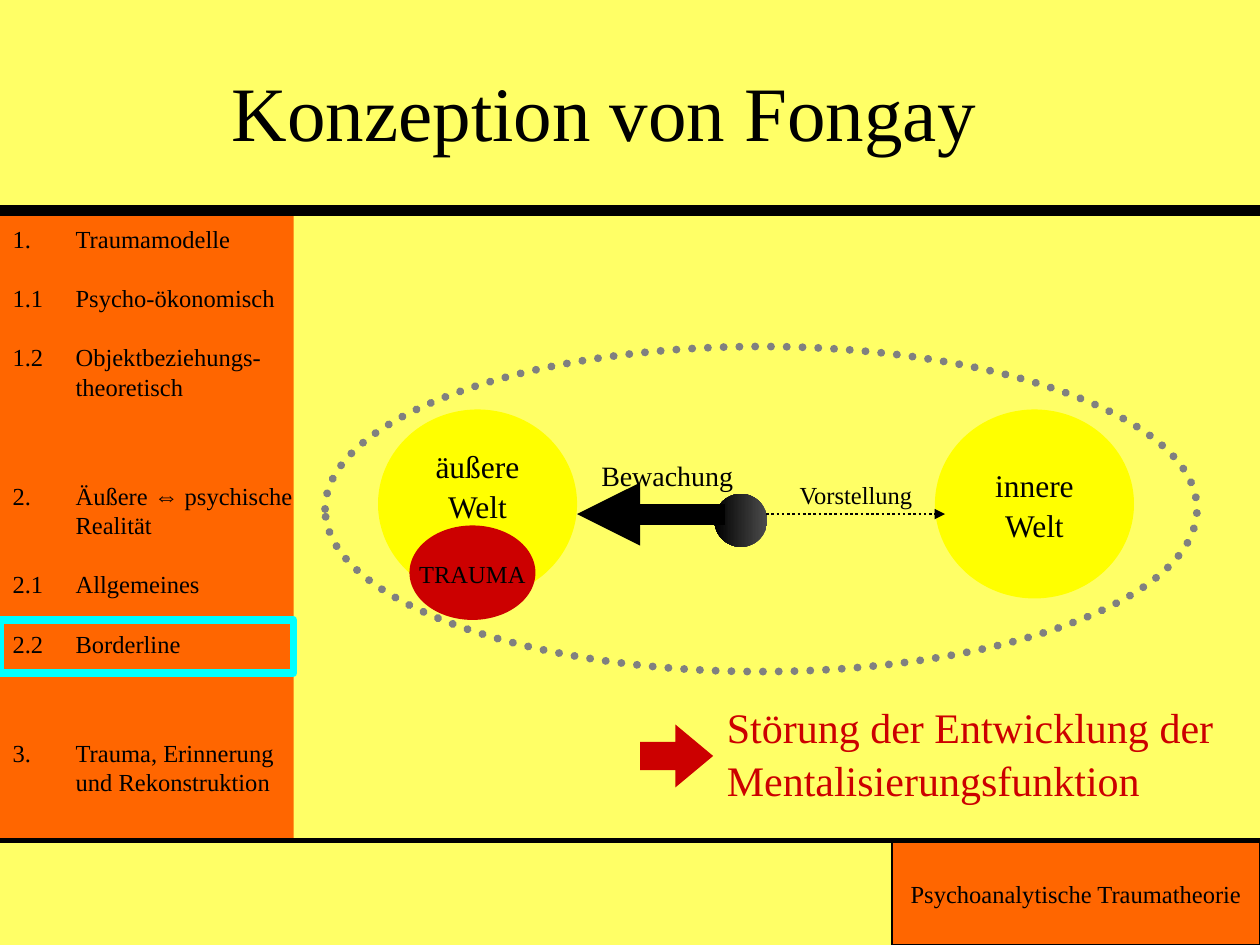
import pptx
import pptx.dml.color
import pptx.enum.dml
import pptx.enum.shapes
import pptx.enum.text
import pptx.oxml
import pptx.util
from pptx.util import Inches, Pt

COLORS = {
    "background": "FFFF66", "panel": "FF6600", "black": "000000",
    "highlight": "00FFFF", "world": "FFFF00", "red": "CC0000",
    "boundary": "808080", "sphere": "4C4C4C",
}
SERIF = "Times New Roman"
SHAPE = pptx.enum.shapes.MSO_SHAPE
ALIGN = pptx.enum.text.PP_ALIGN
ANCHOR = pptx.enum.text.MSO_ANCHOR
DOTTED = pptx.enum.dml.MSO_LINE.ROUND_DOT


def rgb(name):
    return pptx.dml.color.RGBColor.from_string(COLORS[name])


def write(paragraph, text, size, color="black", align=ALIGN.LEFT, font=SERIF):
    paragraph.alignment = align
    run = paragraph.add_run()
    run.text = text
    run.font.size = Pt(size)
    run.font.name = font
    run.font.color.rgb = rgb(color)


prs = pptx.Presentation()
prs.slide_width, prs.slide_height = Inches(10), Inches(7.5)
slide = prs.slides.add_slide(prs.slide_layouts[1])
slide.background.fill.solid()
slide.background.fill.fore_color.rgb = rgb("background")

# Title
title = slide.shapes.title
title.left, title.top = Inches(0.42), Inches(0.25)
title.width, title.height = Inches(8.75), Inches(1.25)
title.text_frame.vertical_anchor = ANCHOR.MIDDLE
write(title.text_frame.paragraphs[0], "Konzeption von Fongay", 44, align=ALIGN.CENTER)

# Outline of the talk: number, lines of the entry, space before
LINE, GAP, CHAPTER_GAP = 16.86, 16.86, 45.4
outline = [
    ("1.", ["Traumamodelle"], 0),
    ("1.1", ["Psycho-ökonomisch"], GAP),
    ("1.2", ["Objektbeziehungs-", "theoretisch"], GAP),
    ("2.", ["Äußere ⇔ psychische", "Realität"], CHAPTER_GAP),
    ("2.1", ["Allgemeines"], GAP),
    ("2.2", ["Borderline"], GAP),
    ("3.", ["Trauma, Erinnerung", "und Rekonstruktion"], CHAPTER_GAP),
]
sidebar = slide.placeholders[1]
sidebar.left, sidebar.top = Inches(0), Inches(1.67)
sidebar.width, sidebar.height = Inches(2.33), Inches(5)
sidebar.fill.solid()
sidebar.fill.fore_color.rgb = rgb("panel")
entries = sidebar.text_frame
entries.auto_size = pptx.enum.text.MSO_AUTO_SIZE.NONE
entries.vertical_anchor = ANCHOR.TOP
entries.margin_top, entries.margin_right = Inches(0.11), 0
for i, (number, lines, space) in enumerate(outline):
    entry = entries.paragraphs[0] if i == 0 else entries.add_paragraph()
    entry.line_spacing, entry.space_before = Pt(LINE), Pt(space)
    properties = entry._p.get_or_add_pPr()
    properties.set("marL", str(Inches(0.5)))
    properties.set("indent", str(Inches(-0.5)))
    properties.append(pptx.oxml.parse_xml(
        '<a:buNone xmlns:a="http://schemas.openxmlformats.org/drawingml/2006/main"/>'))
    write(entry, number + "\t", 14)
    for j, line in enumerate(lines):
        if j:
            entry.add_line_break()
        before, arrow, after = line.partition("⇔")
        write(entry, before, 14)
        if arrow:
            write(entry, arrow, 14, font="Arial")
            write(entry, after, 14)

# Panels, worlds and symbols:
# kind, place, fill, line, line width, text lines, text size, bottom inset
figures = [
    (SHAPE.RECTANGLE, (7.08, 6.67, 2.92, 0.83), "panel", "black", 0.75,
     ["Psychoanalytische Traumatheorie"], 14, 0.05),
    (SHAPE.RECTANGLE, (0, 4.92, 2.33, 0.42), None, "highlight", 4.5, [], 14, 0.05),
    (SHAPE.OVAL, (3, 3.25, 1.58, 1.5), "world", None, 0, ["äußere", "Welt"], 18, 0.35),
    (SHAPE.OVAL, (7.42, 3.25, 1.58, 1.5), "world", None, 0, ["innere", "Welt"], 18, 0.05),
    (SHAPE.OVAL, (3.25, 4.17, 1, 0.75), "red", None, 0, ["TRAUMA"], 14, 0.05),
    (SHAPE.OVAL, (5.67, 3.92, 0.42, 0.42), "sphere", None, 0, [], 14, 0.05),
    (SHAPE.OVAL, (2.58, 2.75, 6.92, 2.58), None, "boundary", 4.5, [], 14, 0.05),
    (SHAPE.RIGHT_ARROW, (5.08, 5.75, 0.58, 0.5), "red", None, 0, [], 14, 0.05),
]
for kind, place, fill, line, width, lines, size, inset in figures:
    figure = slide.shapes.add_shape(kind, *[Inches(v) for v in place])
    figure.shadow.inherit = False
    if fill == "sphere":
        figure.fill.gradient()
        figure.fill.gradient_angle = 180
        for stop, shade in zip(figure.fill.gradient_stops, ("sphere", "black")):
            stop.color.rgb = rgb(shade)
    elif fill:
        figure.fill.solid()
        figure.fill.fore_color.rgb = rgb(fill)
    else:
        figure.fill.background()
    if line:
        figure.line.color.rgb = rgb(line)
        figure.line.width = Pt(width)
    else:
        figure.line.fill.background()
    if line == "boundary":
        figure.line.dash_style = DOTTED
        figure.line._get_or_add_ln().set("cap", "rnd")
    if kind == SHAPE.RIGHT_ARROW:
        figure.adjustments[0], figure.adjustments[1] = 0.45, 0.6
    label = figure.text_frame
    label.word_wrap = False
    label.vertical_anchor = ANCHOR.MIDDLE
    label.margin_bottom = Inches(inset)
    for i, text in enumerate(lines):
        paragraph = label.paragraphs[0] if i == 0 else label.add_paragraph()
        paragraph.line_spacing = 1.05
        write(paragraph, text, size, align=ALIGN.CENTER)

# Rules and arrows: start, end, width, arrowhead, dotted
connections = [
    ((0, 6.67), (10, 6.67), 3, False, False),
    ((0, 1.67), (10, 1.67), 6, False, False),
    ((5.75, 4.08), (4.58, 4.08), 12, True, False),
    ((6.08, 4.08), (7.5, 4.08), 1.5, True, True),
]
for start, end, width, arrowhead, dotted in connections:
    connection = slide.shapes.add_connector(
        pptx.enum.shapes.MSO_CONNECTOR.STRAIGHT, *[Inches(v) for v in start + end])
    connection.line.color.rgb = rgb("black")
    connection.line.width = Pt(width)
    if dotted:
        connection.line.dash_style = DOTTED
    if arrowhead:
        connection.line._get_or_add_ln().append(pptx.oxml.parse_xml(
            '<a:tailEnd xmlns:a="http://schemas.openxmlformats.org/drawingml/2006/main"'
            ' type="triangle"/>'))
    connection._element.spPr.append(pptx.oxml.parse_xml(
        '<a:effectLst xmlns:a="http://schemas.openxmlformats.org/drawingml/2006/main"/>'))

# Arrow labels and conclusion
captions = [
    ("Bewachung", (4.67, 3.58, 1.25, 0.37), 16, "black", ALIGN.CENTER),
    ("Vorstellung", (6.17, 3.75, 1.17, 0.34), 14, "black", ALIGN.RIGHT),
    ("Störung der Entwicklung der Mentalisierungsfunktion",
     (5.67, 5.5, 4.25, 0.9), 24, "red", ALIGN.LEFT),
]
for text, place, size, color, align in captions:
    caption = slide.shapes.add_textbox(*[Inches(v) for v in place]).text_frame
    caption.word_wrap = True
    caption.paragraphs[0].line_spacing = 1.05
    write(caption.paragraphs[0], text, size, color, align)

prs.save("out.pptx")
